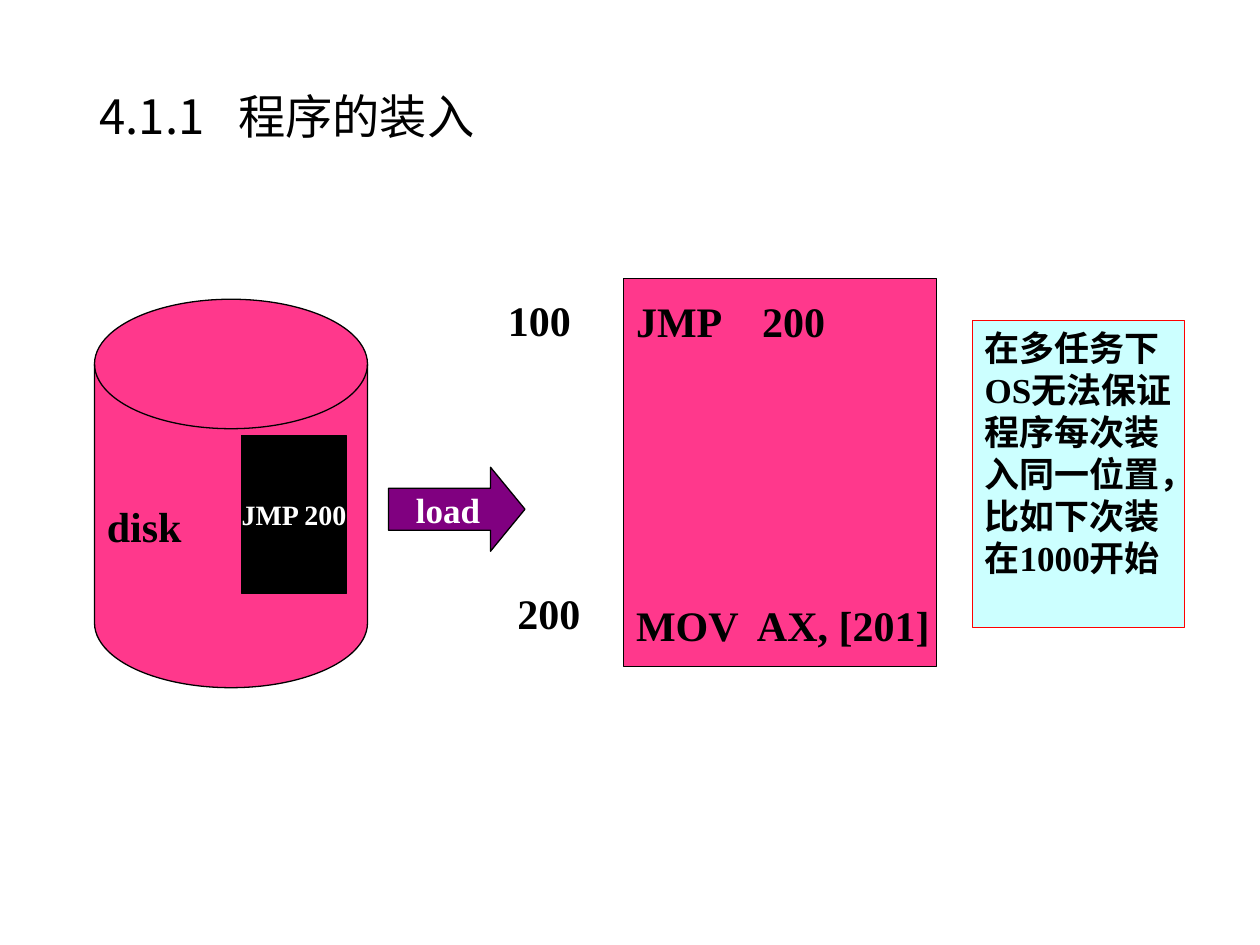
from pptx import Presentation
from pptx.util import Inches, Pt
from pptx.dml.color import RGBColor
from pptx.enum.shapes import MSO_SHAPE as Shape
from pptx.enum.text import MSO_ANCHOR as Anchor, PP_ALIGN as Align
from pptx.oxml import parse_xml
from pptx.oxml.ns import nsdecls

THEME = dict(
    pink="FF388C", black="000000", white="FFFFFF", purple="800080",
    cyan="CCFFFF", red="FF0000", serif="Times New Roman",
    sans="Noto Sans CJK SC", title=27, code=24, body=20, small=16, line=0.75,
)
COLS, ROWS = 120, 90
TITLE = dict(at=(8.3, 4.8, 103.4, 13.1), lines=["4.1.1\t程序的装入"], size="title",
             font="sans", bold=False, tabs=[1.1], spacing=0.9)
SHAPES = [
    dict(kind=Shape.FLOWCHART_MAGNETIC_DISK, at=(9, 28.5, 26, 37),
         fill="pink", lines=["disk"]),
    dict(kind=Shape.RECTANGLE, at=(23, 41.5, 10, 15), fill="black", lines=["JMP 200"],
         size="small", color="white", align=Align.CENTER, wrap=False),
    dict(kind=Shape.RIGHT_ARROW, at=(37, 44.5, 13, 8), fill="purple", lines=["load"],
         size="body", color="white", align=Align.CENTER, wrap=False, adjust=(0.5, 0.41)),
    dict(kind=Shape.RECTANGLE, at=(59.4, 26.5, 29.8, 37), fill="pink",
         lines=["JMP\t200", "MOV\tAX, [201]"], tabs=[1, 0.96], gap=145, right=0),
    dict(kind=Shape.RECTANGLE, at=(92.6, 30.5, 20.2, 29.3), fill="cyan", line="red",
         lines=["在多任务下OS无法保证程序每次装入同一位置，比如下次装在1000开始"],
         size="body", anchor=Anchor.TOP),
]
ADDRESSES = [
    dict(at=(47.2, 27.5, 8.4, 6), lines=["100"], anchor=Anchor.TOP),
    dict(at=(48.1, 55.4, 8.4, 6), lines=["200"], anchor=Anchor.TOP),
]


def color(name):
    return RGBColor.from_string(THEME[name])


def write(sp, lines, size="code", font="serif", bold=True, color_name="black",
          align=Align.LEFT, anchor=Anchor.MIDDLE, wrap=True, tabs=(), gap=0,
          spacing=None, right=0.1):
    tf = sp.text_frame
    tf.word_wrap, tf.vertical_anchor = wrap, anchor
    tf.margin_right = Inches(right)
    for i, text in enumerate(lines):
        p = tf.add_paragraph() if i else tf.paragraphs[0]
        p.text, p.alignment = text, align
        if i:
            p.space_before = Pt(gap)
        if spacing:
            p.line_spacing = spacing
        if tabs:
            p._p.get_or_add_pPr().append(parse_xml(
                f'<a:tabLst {nsdecls("a")}><a:tab pos="{Inches(tabs[i])}" algn="l"/></a:tabLst>'))
        f = p.font
        f.name, f.size, f.bold = THEME[font], Pt(THEME[size]), bold
        f.color.rgb = color(color_name)


def place(prs, at):
    x, y, w, h = at
    cell_w, cell_h = prs.slide_width / COLS, prs.slide_height / ROWS
    return [int(v) for v in (x * cell_w, y * cell_h, w * cell_w, h * cell_h)]


def add_text(prs, s, at, **text):
    write(s.shapes.add_textbox(*place(prs, at)), **text)


def add_block(prs, s, kind, at, fill, line="black", adjust=(), color="black", **text):
    sp = s.shapes.add_shape(kind, *place(prs, at))
    sp.shadow.inherit = False
    sp.fill.solid()
    sp.fill.fore_color.rgb = RGBColor.from_string(THEME[fill])
    sp.line.color.rgb = RGBColor.from_string(THEME[line])
    sp.line.width = Pt(THEME["line"])
    for i, value in enumerate(adjust):
        sp.adjustments[i] = value
    write(sp, color_name=color, **text)


def main():
    prs = Presentation()
    prs.slide_width, prs.slide_height = Inches(10), Inches(7.5)
    s = prs.slides.add_slide(prs.slide_layouts[6])
    add_text(prs, s, **TITLE)
    for block in SHAPES:
        add_block(prs, s, **block)
    for address in ADDRESSES:
        add_text(prs, s, **address)
    prs.save("out.pptx")


if __name__ == "__main__":
    main()
